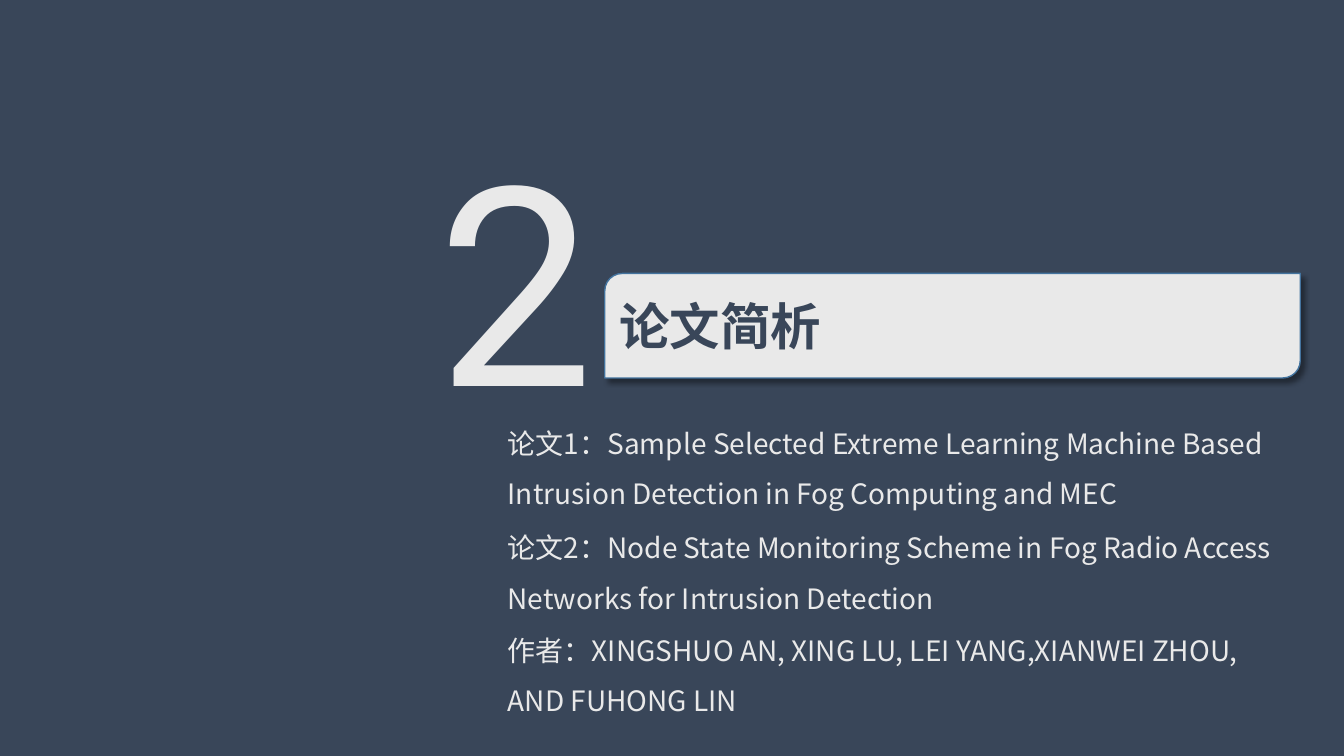
"""Build the section slide that opens the review of two papers."""
from dataclasses import dataclass

from lxml import etree
from pptx import Presentation
from pptx.dml.color import RGBColor
from pptx.enum import shapes, text
from pptx.oxml import ns
from pptx.util import Pt

NAVY = RGBColor(0x39, 0x46, 0x59)
PALE = RGBColor(0xE9, 0xE9, 0xE9)
BLUE = RGBColor(0x43, 0x73, 0x9E)
BLACK = RGBColor(0, 0, 0)
SANS = "Noto Sans CJK SC"


@dataclass(frozen=True)
class Box:
    left: float
    top: float
    width: float
    height: float

    def place(self):
        return Pt(self.left), Pt(self.top), Pt(self.width), Pt(self.height)


@dataclass(frozen=True)
class Style:
    size: float
    color: RGBColor
    face: str = SANS
    bold: bool = False
    spacing: float = 1.0


@dataclass(frozen=True)
class Label:
    words: str
    box: Box
    style: Style
    wrap: bool = True


BODY = Style(20, PALE, spacing=1.5)
PAGE = Box(0, 0, 960, 540)
BANNER = Box(432, 195.3, 496.8, 74.7)
HEADING = Label("论文简析", Box(435.3, 195.3, 489.6, 74.7), Style(36, NAVY, bold=True))
LABELS = [
    Label("2", Box(305.3, 73.4, 154.8, 248.4), Style(199, PALE, "Roboto"), wrap=False),
    Label("论文1：Sample Selected Extreme Learning Machine Based Intrusion "
          "Detection in Fog Computing and MEC", Box(355.6, 289, 564.5, 79.9), BODY),
    Label("论文2：Node State Monitoring Scheme in Fog Radio Access Networks "
          "for Intrusion Detection", Box(355.6, 363.6, 573.1, 79.9), BODY),
    Label("作者：XINGSHUO AN, XING LU, LEI YANG,XIANWEI ZHOU, AND FUHONG LIN",
          Box(355.6, 437, 573.1, 79.9), BODY),
]


def write(shape, label: Label) -> None:
    frame = shape.text_frame
    frame.text = label.words
    frame.word_wrap = label.wrap
    frame.auto_size = text.MSO_AUTO_SIZE.NONE
    style = label.style
    para = frame.paragraphs[0]
    para.alignment = text.PP_ALIGN.LEFT
    para.line_spacing = style.spacing
    for run in para.runs:
        font = run.font
        font.name, font.size, font.bold = style.face, Pt(style.size), style.bold
        font.color.rgb = style.color
        latin = font._element.find(ns.qn("a:latin"))
        east = etree.Element(ns.qn("a:ea"), typeface=style.face)
        latin.addnext(east)


def add_panel(slide, kind: shapes.MSO_SHAPE, box: Box, color: RGBColor):
    panel = slide.shapes.add_shape(kind, *box.place())
    panel.shadow.inherit = False
    panel.fill.solid()
    panel.fill.fore_color.rgb = color
    panel.line.fill.background()
    return panel


def add_shadow(shape) -> None:
    effects = shape._element.spPr.find(ns.qn("a:effectLst"))
    outer = etree.SubElement(
        effects, ns.qn("a:outerShdw"), blurRad=str(Pt(4)), dist=str(Pt(3)),
        dir=str(45 * 60000), algn="tl", rotWithShape="0")
    color = etree.SubElement(outer, ns.qn("a:srgbClr"), val=str(BLACK))
    etree.SubElement(color, ns.qn("a:alpha"), val="40000")


def add_banner(slide, box: Box) -> None:
    banner = add_panel(slide, shapes.MSO_SHAPE.ROUND_2_DIAG_RECTANGLE, box, PALE)
    banner.line.color.rgb = BLUE
    banner.line.width = Pt(1)
    add_shadow(banner)


def add_title(slide, label: Label) -> None:
    title = slide.shapes.title
    title.left, title.top, title.width, title.height = label.box.place()
    write(title, label)
    title.text_frame.vertical_anchor = text.MSO_ANCHOR.MIDDLE
    slide.shapes.element.append(title.element)


def main() -> None:
    deck = Presentation()
    deck.slide_width, deck.slide_height = Pt(PAGE.width), Pt(PAGE.height)
    slide = deck.slides.add_slide(deck.slide_layouts[5])
    add_panel(slide, shapes.MSO_SHAPE.RECTANGLE, PAGE, NAVY)
    add_banner(slide, BANNER)
    add_title(slide, HEADING)
    for label in LABELS:
        write(slide.shapes.add_textbox(*label.box.place()), label)
    deck.save("out.pptx")


if __name__ == "__main__":
    main()
